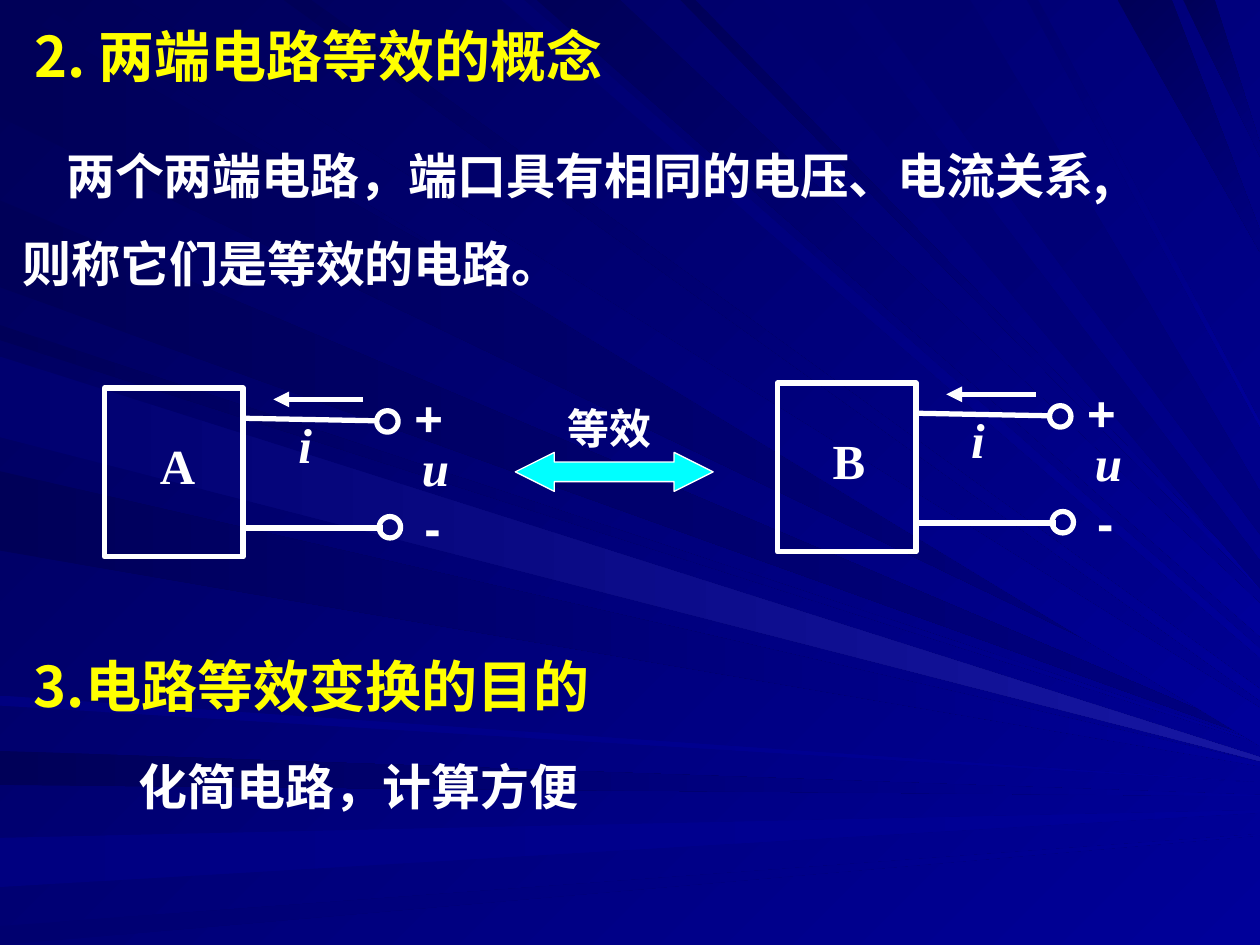
"""Builds a slide on the equivalence of two-terminal circuits."""
from lxml.etree import SubElement
from pptx import Presentation
from pptx.dml.color import RGBColor
from pptx.enum.shapes import MSO_CONNECTOR, MSO_SHAPE as SHAPE
from pptx.enum.text import MSO_ANCHOR, MSO_AUTO_SIZE, PP_ALIGN
from pptx.oxml.ns import qn
from pptx.util import Cm, Pt

WHITE = RGBColor(0xFF, 0xFF, 0xFF)
YELLOW = RGBColor(0xFF, 0xFF, 0x00)
CYAN = RGBColor(0x00, 0xFF, 0xFF)
NIGHT = RGBColor(0x00, 0x00, 0x58)
DUSK = RGBColor(0x00, 0x00, 0x6F)
NAVY = RGBColor(0x00, 0x00, 0x80)
BLUE = RGBColor(0x00, 0x00, 0x99)
GLOW = RGBColor(0x17, 0x17, 0xA2)
CJK, SANS, SERIF = "Noto Sans CJK SC", "Arial", "Times New Roman"

HEADING = ("2. 两端电路等效的概念", (0.17, 0.08, 5.92, 0.64), 32, YELLOW)
PASSAGES = [
    ("3.电路等效变换的目的", (0.17, 5.08, 5.33, 0.64), 32, YELLOW),
    ("化简电路，计算方便", (1, 5.92, 4.84, 0.57), 28, WHITE),
    ("等效", (4.41, 3.11, 1.26, 0.5), 24, WHITE),
]
DEFINITION = ("两个两端电路，端口具有相同的电压、电流关系,则称它们是等效的电路。",
              (0.08, 0.88, 9.15, 1.5), 28, WHITE)

CIRCUITS = [("A", 0, 0), ("B", 5.34, -0.04)]
CIRCUIT_BOX = (0.83, 3.08, 1.1, 1.34)
NAME_BOX = (1.17, 3.41, 0.48, 0.57)
WIRES = [(1.94, 3.32, 3, 3.34), (1.94, 4.19, 3.04, 4.19)]
CURRENT = (2.88, 3.17, 2.17, 3.17)
TERMINALS = [(2.99, 3.26, 0.17, 0.17), (3.01, 4.1, 0.17, 0.17)]
SIGNS = [("i", 2.27, 3.24, SERIF), ("+", 3.19, 3.03, SANS),
         ("-", 3.27, 3.9, SANS), ("u", 3.25, 3.42, SERIF)]
EQUIVALENCE = (4.09, 3.59, 1.57, 0.31)

LEFT_RAYS = [
    (0.02, 0.93, 5.69, NIGHT, NAVY), (1.59, 2.28, 5.84, NIGHT, NAVY),
    (2.58, 2.7, 5.89, NIGHT, BLUE), (3.74, 4.37, 6.05, NIGHT, BLUE),
    (5.52, 5.6, 6.21, NAVY, BLUE), (5.96, 6.23, 6.31, NIGHT, BLUE),
    (6.65, 7.04, 6.43, NAVY, BLUE), (7.35, 7.5, 6.62, DUSK, BLUE),
    (2.83, 3.47, 6.01, DUSK, GLOW),
]
TOP_RAYS = [
    (0.26, 1.01, 5.62, NIGHT, BLUE), (2.25, 2.47, 5.47, NIGHT, BLUE),
    (3.98, 4.16, 5.15, DUSK, BLUE), (4.26, 4.92, 4.79, NIGHT, BLUE),
    (5.4, 5.52, 4.63, NIGHT, BLUE), (6.06, 6.61, 4.45, DUSK, NAVY),
    (6.86, 7.7, 3.9, DUSK, NAVY), (8.15, 8.24, 3.35, DUSK, BLUE),
    (8.87, 9.3, 1.83, NIGHT, NAVY), (9.39, 9.64, 1.14, NIGHT, NAVY),
]


def lengths(*inches):
    return [Cm(2.54 * value) for value in inches]


def set_gradient(fill, start, end, clockwise):
    fill.gradient()
    fill.gradient_angle = (360 - clockwise) % 360
    for stop, color in zip(fill.gradient_stops, (start, end)):
        stop.color.rgb = color


def add_ray(shapes, from_top, near, far, end, start_color, end_color):
    spread = (far - near) * (0.4 if from_top else 0.05)
    corners = [(near, 0), (far, 0)] if from_top else [(0, far), (0, near)]
    corners += [(10, end), (10, end + spread)]
    points = [(100 * x, 100 * y) for x, y in corners]
    builder = shapes.build_freeform(*points[0], scale=Cm(0.0254))
    builder.add_line_segments(points[1:], close=True)
    ray = builder.convert_to_shape()
    ray.shadow.inherit = False
    ray.line.fill.background()
    set_gradient(ray.fill, start_color, end_color, 45 if from_top else 0)


def add_outline(shapes, kind, box, width=3, color=None):
    outline = shapes.add_shape(kind, *lengths(*box))
    outline.shadow.inherit = False
    outline.line.color.rgb = WHITE
    outline.line.width = Pt(width)
    if color is None:
        outline.fill.background()
    else:
        outline.fill.solid()
        outline.fill.fore_color.rgb = color
    return outline


def add_wire(shapes, ends, arrow=False):
    wire = shapes.add_connector(MSO_CONNECTOR.STRAIGHT, *lengths(*ends))
    wire.line.color.rgb = WHITE
    wire.line.width = Pt(3)
    if arrow:
        SubElement(wire.line._get_or_add_ln(), qn("a:tailEnd"), type="triangle")
    SubElement(wire._element.spPr, qn("a:effectLst"))


def write(holder, text, box, size, color, font=CJK, italic=False, wrap=True):
    holder.left, holder.top, holder.width, holder.height = lengths(*box)
    frame = holder.text_frame
    frame.text = text
    frame.word_wrap = wrap
    frame.auto_size = MSO_AUTO_SIZE.NONE
    frame.vertical_anchor = MSO_ANCHOR.TOP
    paragraph = frame.paragraphs[0]
    paragraph.alignment = PP_ALIGN.LEFT
    paragraph.space_before = Pt(0)
    if font == CJK:
        paragraph.line_spacing = Pt(1.3 * size)
    for run in paragraph.runs:
        run.font.name = font
        run.font.size = Pt(size)
        run.font.bold = True
        run.font.italic = italic
        run.font.color.rgb = color
        SubElement(run._r.get_or_add_rPr(), qn("a:ea"), typeface=CJK)
    return paragraph


def add_text(shapes, text, box, *style, **options):
    return write(shapes.add_textbox(*lengths(*box)), text, box, *style, **options)


def add_circuit(shapes, name, dx, dy):
    def moved(box):
        return (box[0] + dx, box[1] + dy, *box[2:])

    def moved_ends(ends):
        return moved(ends[:2]) + moved(ends[2:])

    add_outline(shapes, SHAPE.RECTANGLE, moved(CIRCUIT_BOX))
    for wire in WIRES:
        add_wire(shapes, moved_ends(wire))
    add_wire(shapes, moved_ends(CURRENT), arrow=True)
    for terminal in TERMINALS:
        add_outline(shapes, SHAPE.OVAL, moved(terminal))
    for sign, left, top, font in SIGNS:
        add_text(shapes, sign, moved((left, top, 0.39, 0.57)), 28, WHITE,
                 font=font, italic=font == SERIF)
    add_text(shapes, name, moved(NAME_BOX), 28, WHITE, font=SERIF, wrap=False)


def main():
    deck = Presentation()
    deck.slide_width, deck.slide_height = lengths(10, 7.5)
    slide = deck.slides.add_slide(deck.slide_layouts[5])
    shapes = slide.shapes
    set_gradient(slide.background.fill, NIGHT, BLUE, 45)
    for from_top, rays in ((False, LEFT_RAYS), (True, TOP_RAYS)):
        for ray in rays:
            add_ray(shapes, from_top, *ray)

    heading = shapes.title
    write(heading, *HEADING)
    shapes._spTree.append(heading._element)

    for circuit in CIRCUITS:
        add_circuit(shapes, *circuit)
    equivalence = add_outline(shapes, SHAPE.LEFT_RIGHT_ARROW, EQUIVALENCE, 0.75, CYAN)
    equivalence.adjustments[0] = 0.5
    equivalence.adjustments[1] = 1

    for passage in PASSAGES:
        add_text(shapes, *passage)
    definition = add_text(shapes, *DEFINITION)
    definition.line_spacing = Pt(50)
    definition._p.get_or_add_pPr().set("indent", str(Cm(0.88)))
    deck.save("out.pptx")


if __name__ == "__main__":
    main()
